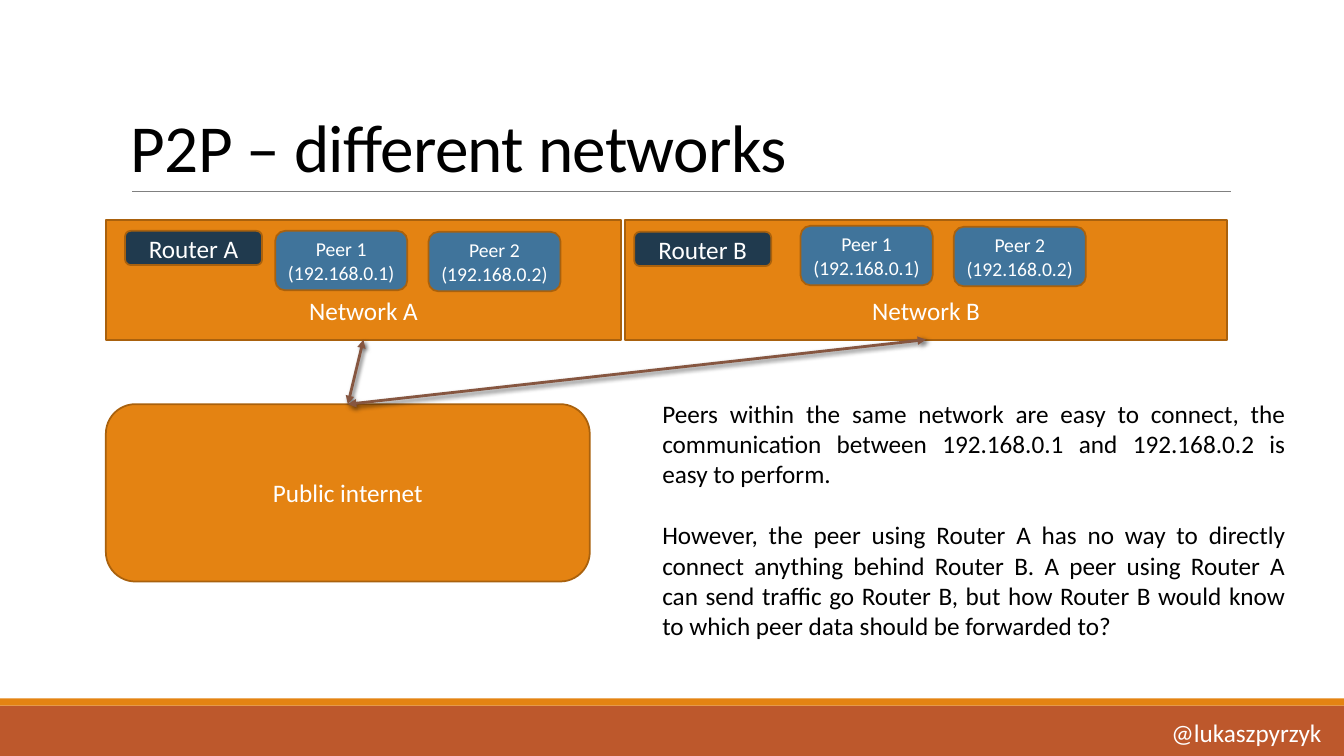
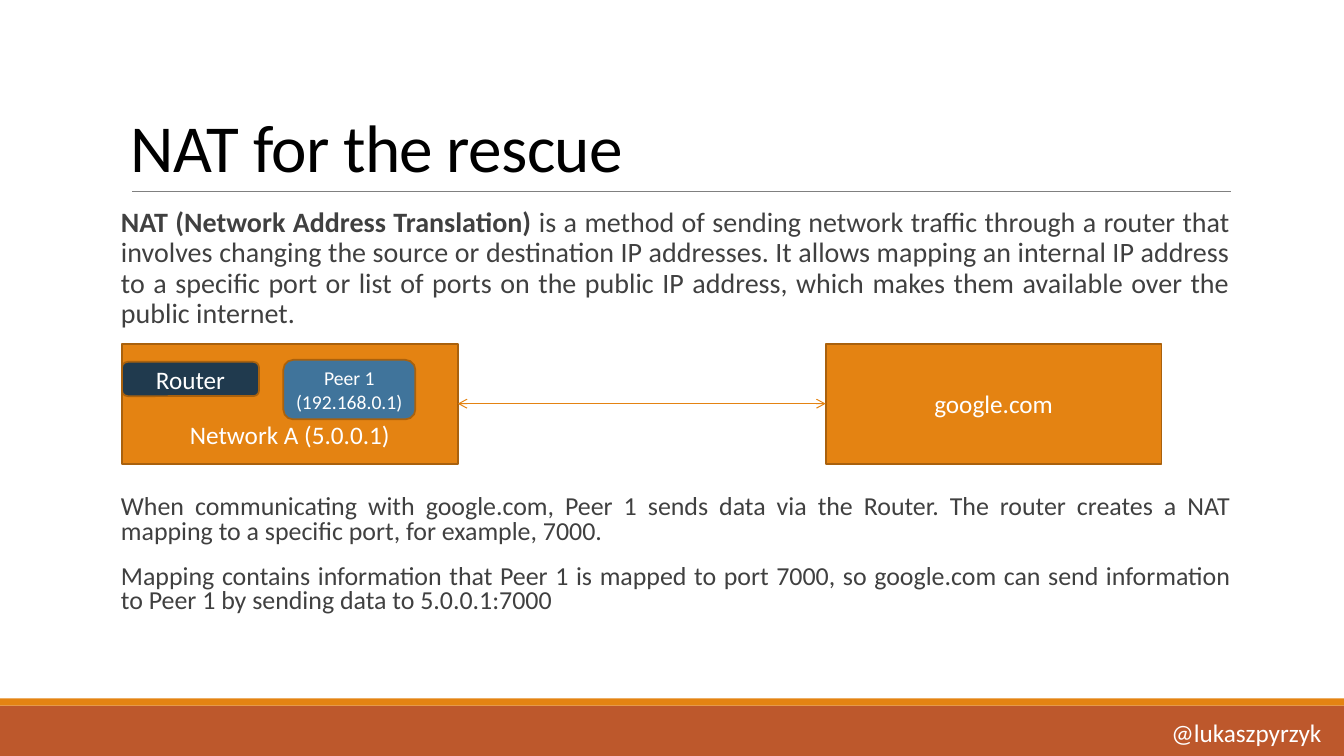
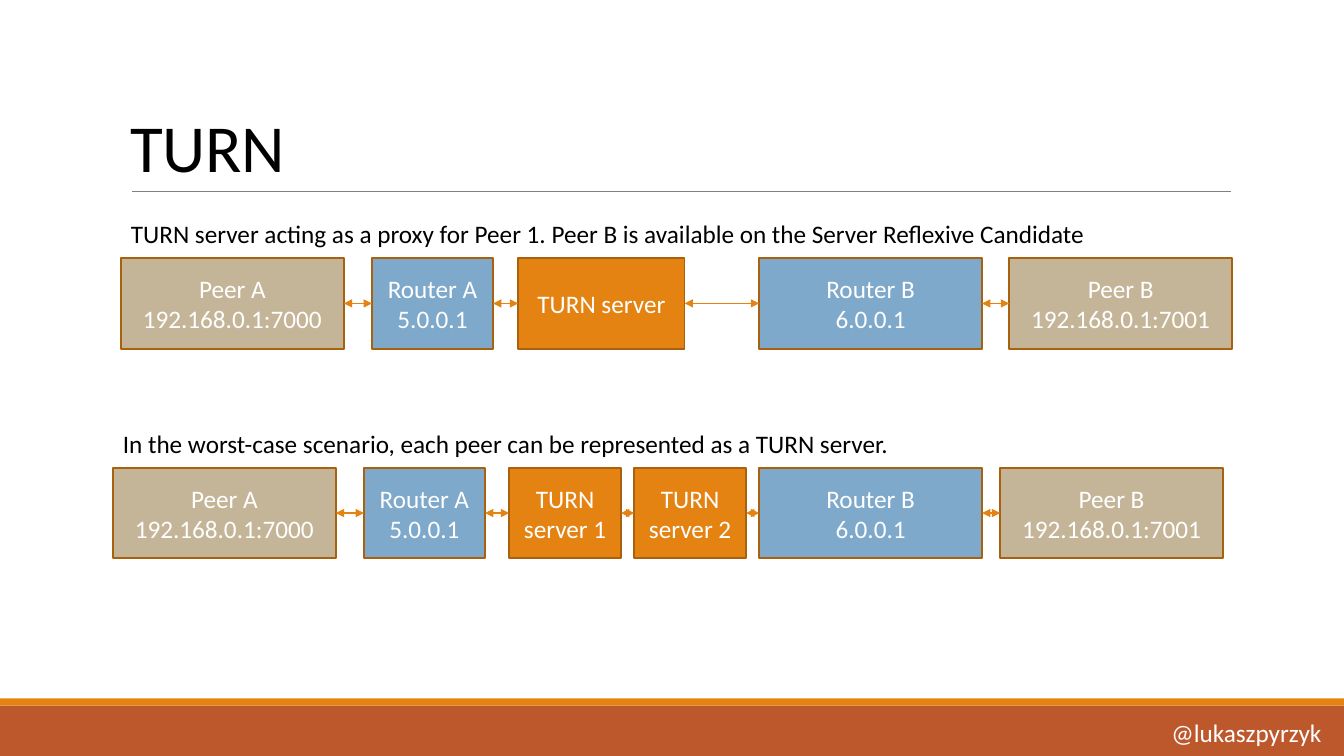
from itertools import pairwise

from lxml.etree import SubElement
from pptx import Presentation
from pptx.dml.color import RGBColor
from pptx.enum.shapes import MSO_CONNECTOR, MSO_SHAPE
from pptx.enum.text import MSO_ANCHOR as ANCHOR, PP_ALIGN as ALIGN
from pptx.oxml.ns import qn
from pptx.util import Inches, Pt

# Shared look
WIDTH, HEIGHT = 13.33, 7.5
FONT = "Calibri"
BLACK = RGBColor(0x00, 0x00, 0x00)
WHITE = RGBColor(0xFF, 0xFF, 0xFF)
DARK_GREY = RGBColor(0x40, 0x40, 0x40)
GREY = RGBColor(0x80, 0x80, 0x80)
RUST = RGBColor(0xBD, 0x58, 0x2C)
ORANGE = RGBColor(0xE4, 0x83, 0x12)
OUTLINE = RGBColor(0xA9, 0x61, 0x0D)
BROWN = RGBColor(0x86, 0x56, 0x40)
NAVY = RGBColor(0x20, 0x3A, 0x4E)
BLUE = RGBColor(0x40, 0x74, 0x9B)
SKY = RGBColor(0x7E, 0xA9, 0xCA)
SAND = RGBColor(0xC5, 0xB5, 0x98)
RECT, ROUND = MSO_SHAPE.RECTANGLE, MSO_SHAPE.ROUNDED_RECTANGLE
TOP_SITE, LEFT_SITE, BOTTOM_SITE, RIGHT_SITE = range(4)

HANDLE = "@lukaszpyrzyk"
BANDS = [(7, 0.5, RUST), (6.93, 0.07, ORANGE)]  # top, height, colour
ROUTER_SIZE = (1.36, 0.34)
PEER_SIZE = (1.31, 0.59)
PEER_STEP = (1.52, 0.01)
NETWORK_HEIGHT = 1.19
NODE_HEIGHT = 0.9
LEFT_COLUMN, COLUMN_WIDTH = 1.2, 11

PEER_1, PEER_2 = "Peer 1 (192.168.0.1)", "Peer 2 (192.168.0.2)"

# P2P content: router and peer places are offsets inside their network
P2P_NETWORKS = [
    dict(label="Network A", at=(1.05, 2.18), width=5.11, router="Router A",
         router_at=(0.19, 0.11), peers=[PEER_1, PEER_2], peers_at=(1.68, 0.11)),
    dict(label="Network B", at=(6.2, 2.18), width=5.97, router="Router B",
         router_at=(0.09, 0.12), peers=[PEER_1, PEER_2], peers_at=(1.74, 0.06)),
]
P2P_NOTES = [
    "Peers within the same network are easy to connect, the communication "
    "between 192.168.0.1 and 192.168.0.2 is easy to perform.",
    "However, the peer using Router A has no way to directly connect anything "
    "behind Router B. A peer using Router A can send traffic go Router B, but "
    "how Router B would know to which peer data should be forwarded to?",
]

# NAT content
NAT_TERM = "NAT (Network Address Translation) "
NAT_MEANING = (
    "is a method of sending network traffic through a router that involves "
    "changing the source or destination IP addresses. It allows mapping an "
    "internal IP address to a specific port or list of ports on the public IP "
    "address, which makes them available over the public internet.")
NAT_NETWORK = dict(
    label="Network A (5.0.0.1)", at=(1.21, 3.41), width=3.33, router="Router",
    router_at=(0, 0.18), peers=[PEER_1], peers_at=(1.6, 0.16))
NAT_MAPPING = [
    "When communicating with google.com, Peer 1 sends data via the Router. The "
    "router creates a NAT mapping to a specific port, for example, 7000.",
    "Mapping contains information that Peer 1 is mapped to port 7000, so "
    "google.com can send information to Peer 1 by sending data to 5.0.0.1:7000",
]

# TURN content: nodes are label, left, width, colour
PEER_A, PEER_B = "Peer A\n192.168.0.1:7000", "Peer B\n192.168.0.1:7001"
ROUTER_A, ROUTER_B = "Router A\n5.0.0.1", "Router B\n6.0.0.1"
TURN_CHAINS = [
    dict(caption="TURN server acting as a proxy for Peer 1. Peer B is available "
                 "on the Server Reflexive Candidate",
         left=1.2, top=2.12, nodes=[
             (PEER_A, 1.2, 2.21, SAND), (ROUTER_A, 3.69, 1.2, SKY),
             ("TURN server", 5.14, 1.65, ORANGE),
             (ROUTER_B, 7.53, 2.21, SKY), (PEER_B, 10.01, 2.21, SAND)]),
    dict(caption="In the worst-case scenario, each peer can be represented as a "
                 "TURN server.",
         left=1.12, top=4.2, nodes=[
             (PEER_A, 1.12, 2.21, SAND), (ROUTER_A, 3.61, 1.2, SKY),
             ("TURN\nserver 1", 5.05, 1.11, ORANGE),
             ("TURN\nserver 2", 6.29, 1.11, ORANGE),
             (ROUTER_B, 7.53, 2.21, SKY), (PEER_B, 9.92, 2.21, SAND)]),
]


def apply(target, values):
    for name, value in values.items():
        setattr(target, name, value)


def write(frame, paragraphs, size, color, lead="", frame_format=None, **layout):
    """Fill a text frame; lead is a bold opening of the first paragraph."""
    apply(frame, {"word_wrap": True, **(frame_format or {})})
    gap = layout.pop("space_before", None)
    for index, text in enumerate(paragraphs):
        paragraph = frame.add_paragraph() if index else frame.paragraphs[0]
        paragraph.text = text if index or not lead else lead
        if lead and not index:
            paragraph.runs[0].font.bold = True
            paragraph.add_run().text = text
        apply(paragraph, layout)
        if index and gap:
            paragraph.space_before = gap
        for run in paragraph.runs:
            apply(run.font, {"name": FONT, "size": Pt(size)})
            run.font.color.rgb = color


def add_text(slide, box, paragraphs, size=18, color=BLACK, **options):
    text = slide.shapes.add_textbox(*map(Inches, box))
    write(text.text_frame, paragraphs, size, color, **options)
    return text


def add_block(slide, kind, box, fill, label=None, size=18, **frame_format):
    block = slide.shapes.add_shape(kind, *map(Inches, box))
    block.shadow.inherit = False
    block.fill.solid()
    block.fill.fore_color.rgb = fill
    if label is None:
        block.line.fill.background()
        return block
    block.line.color.rgb = OUTLINE
    block.line.width = Pt(1.25)
    write(block.text_frame, [label], size, WHITE, alignment=ALIGN.CENTER,
          frame_format={"vertical_anchor": ANCHOR.MIDDLE, **frame_format})
    return block


def add_line(slide, ends, color, width, arrow=None, shadow=False):
    line = slide.shapes.add_connector(MSO_CONNECTOR.STRAIGHT, *map(Inches, ends))
    line.line.color.rgb = color
    line.line.width = Pt(width)
    properties = line._element.spPr
    if arrow:
        for end in ("a:headEnd", "a:tailEnd"):
            SubElement(properties.find(qn("a:ln")), qn(end), type=arrow)
    effects = SubElement(properties, qn("a:effectLst"))
    if shadow:
        outer = SubElement(effects, qn("a:outerShdw"), blurRad=str(Pt(3)),
                           dist=str(Pt(2)), dir="2700000", rotWithShape="0")
        tint = SubElement(outer, qn("a:srgbClr"), val=str(BLACK))
        SubElement(tint, qn("a:alpha"), val="60000")
    return line


def link(slide, start, start_site, end, end_site, **style):
    line = add_line(slide, (0, 0, 0, 0), **style)
    line.begin_connect(start, start_site)
    line.end_connect(end, end_site)


def add_network(slide, network):
    left, top = network["at"]
    block = add_block(slide, RECT, (left, top, network["width"], NETWORK_HEIGHT),
                      ORANGE, network["label"], vertical_anchor=ANCHOR.BOTTOM,
                      margin_bottom=Inches(0.14))
    dx, dy = network["router_at"]
    add_block(slide, ROUND, (left + dx, top + dy, *ROUTER_SIZE), NAVY,
              network["router"], margin_top=0, margin_bottom=0)
    dx, dy = network["peers_at"]
    for index, peer in enumerate(network["peers"]):
        place = (left + dx + index * PEER_STEP[0], top + dy + index * PEER_STEP[1])
        add_block(slide, ROUND, (*place, *PEER_SIZE), BLUE, peer, 14,
                  margin_left=Inches(0.05), margin_right=Inches(0.05))
    return block


def new_slide(deck, title):
    """Start a slide with the bands, title, rule and handle."""
    slide = deck.slides.add_slide(deck.slide_layouts[6])
    for top, height, color in BANDS:
        add_block(slide, RECT, (0, top, WIDTH, height), color)
    add_line(slide, (1.31, 1.9, 12.21, 1.9), GREY, 0.5)
    heading = add_text(slide, (LEFT_COLUMN, 0.31, COLUMN_WIDTH, 1.59), [title], 48,
                       line_spacing=0.85,
                       frame_format={"vertical_anchor": ANCHOR.BOTTOM})
    for run in heading.text_frame.paragraphs[0].runs:
        run.font._element.set("spc", "-50")
    add_text(slide, (11.52, 7.07, 1.7, 0.4), [HANDLE], color=WHITE,
             frame_format={"word_wrap": False})
    return slide


def build_p2p(deck):
    slide = new_slide(deck, "P2P – different networks")
    networks = [add_network(slide, network) for network in P2P_NETWORKS]
    internet = add_block(slide, ROUND, (1.05, 4.01, 4.8, 1.76), ORANGE,
                         "Public internet")
    for network in networks:
        link(slide, network, BOTTOM_SITE, internet, TOP_SITE,
             color=BROWN, width=2, arrow="triangle", shadow=True)
    add_text(slide, (6.47, 3.9, 6.38, 2.52), P2P_NOTES,
             alignment=ALIGN.JUSTIFY, space_before=Pt(22))


def build_nat(deck):
    slide = new_slide(deck, "NAT for the rescue")
    body = dict(color=DARK_GREY, alignment=ALIGN.JUSTIFY, space_before=Pt(12),
                space_after=Pt(2), frame_format={"margin_left": 0, "margin_right": 0})
    add_text(slide, (LEFT_COLUMN, 2.02, COLUMN_WIDTH, 1.34), [NAT_MEANING], 20,
             lead=NAT_TERM, line_spacing=0.9, **body)
    network = add_network(slide, NAT_NETWORK)
    site = add_block(slide, RECT, (8.19, 3.41, 3.33, NETWORK_HEIGHT), ORANGE,
                     "google.com")
    link(slide, network, RIGHT_SITE, site, LEFT_SITE,
         color=ORANGE, width=0.75, arrow="arrow")
    add_text(slide, (LEFT_COLUMN, 4.87, COLUMN_WIDTH, 1.34), NAT_MAPPING, 18.5,
             line_spacing=0.8, **body)


def build_turn(deck):
    slide = new_slide(deck, "TURN")
    for chain in TURN_CHAINS:
        add_text(slide, (chain["left"], chain["top"], 11.02, 0.4), [chain["caption"]])
        nodes = [add_block(slide, RECT, (left, chain["top"] + 0.44, width, NODE_HEIGHT),
                           color, label)
                 for label, left, width, color in chain["nodes"]]
        for node, following in pairwise(nodes):
            link(slide, node, RIGHT_SITE, following, LEFT_SITE,
                 color=ORANGE, width=1, arrow="triangle")


def main():
    deck = Presentation()
    deck.slide_width, deck.slide_height = Inches(WIDTH), Inches(HEIGHT)
    for build in (build_p2p, build_nat, build_turn):
        build(deck)
    deck.save("out.pptx")


if __name__ == "__main__":
    main()
